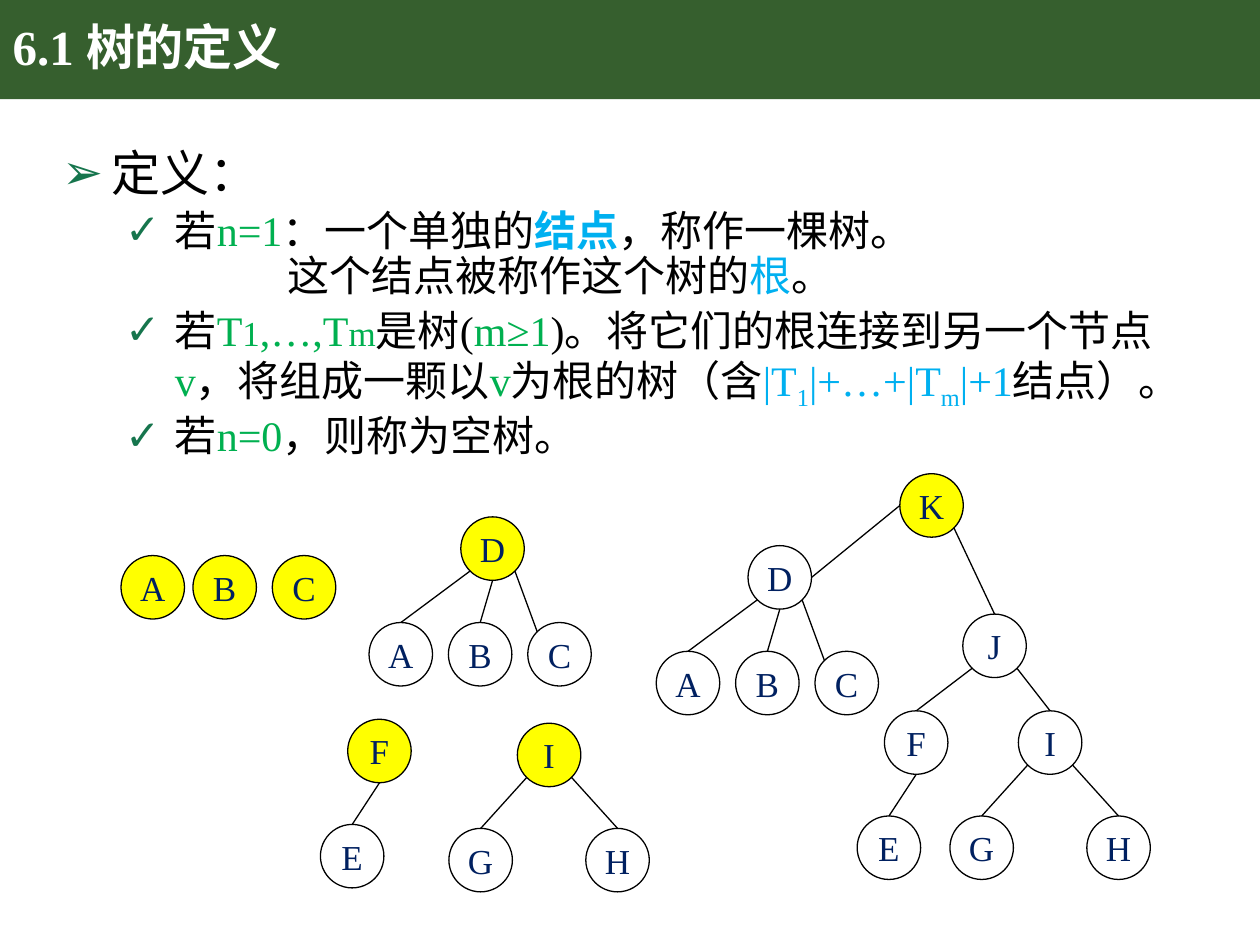
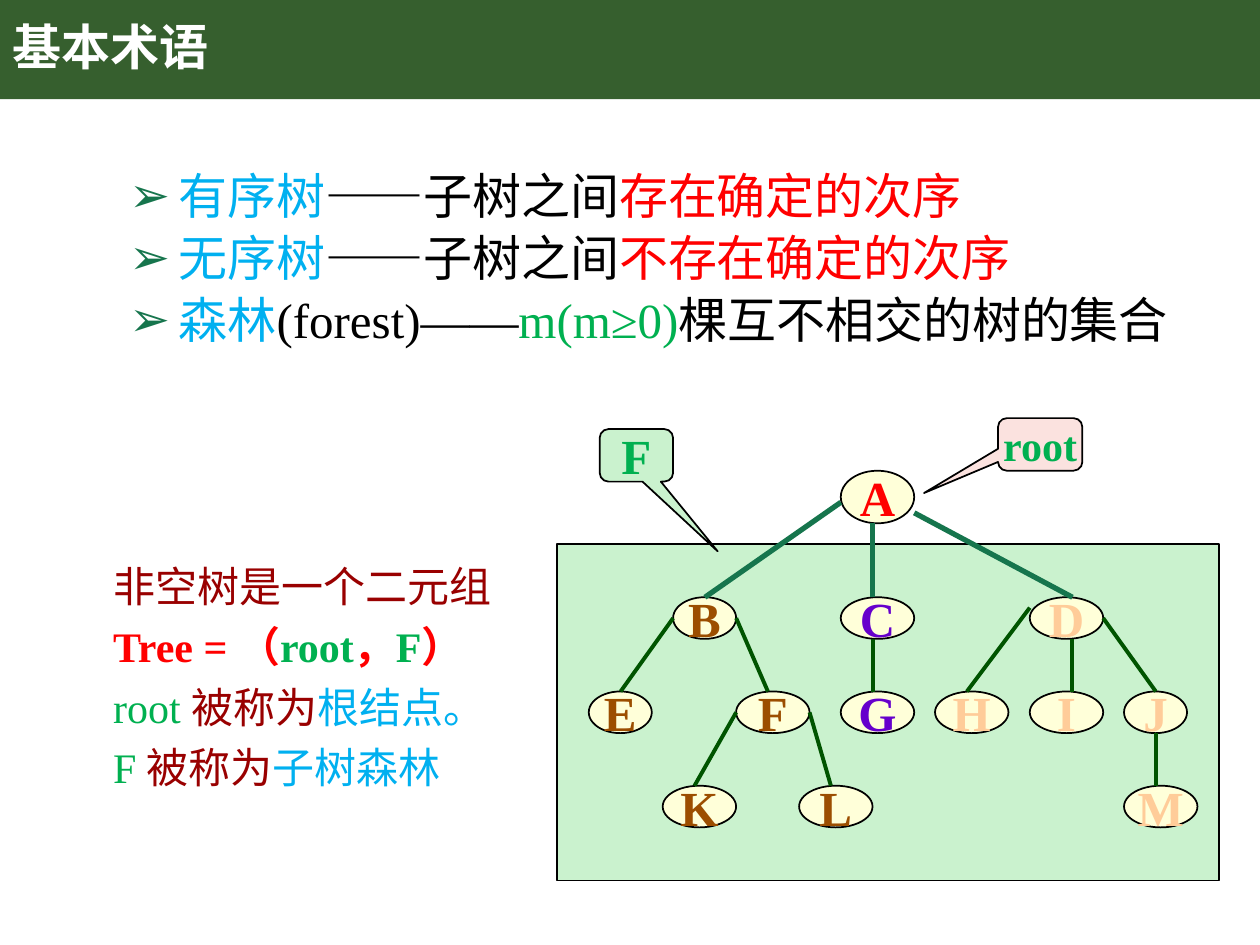
from dataclasses import dataclass

from lxml import etree
from pptx import Presentation
from pptx.dml.color import RGBColor
from pptx.enum.lang import MSO_LANGUAGE_ID
from pptx.enum.shapes import MSO_CONNECTOR, MSO_SHAPE
from pptx.enum.text import MSO_ANCHOR, MSO_AUTO_SIZE, PP_ALIGN
from pptx.oxml.ns import qn
from pptx.util import Cm, Pt

OVAL = MSO_SHAPE.OVAL
RECTANGLE = MSO_SHAPE.RECTANGLE
CALLOUT = MSO_SHAPE.ROUNDED_RECTANGULAR_CALLOUT
STRAIGHT = MSO_CONNECTOR.STRAIGHT
MIDDLE = MSO_ANCHOR.MIDDLE
LEFT, CENTER = PP_ALIGN.LEFT, PP_ALIGN.CENTER
NO_AUTOFIT = MSO_AUTO_SIZE.NONE
CHINESE = MSO_LANGUAGE_ID.SIMPLIFIED_CHINESE


@dataclass(frozen=True)
class Theme:
    font: str = "Times New Roman"
    band: str = "365F2E"
    white: str = "FFFFFF"
    black: str = "000000"
    bullet: str = "16754D"
    green: str = "00B050"
    blue: str = "00B0F0"
    red: str = "FF0000"
    dark_red: str = "990000"
    navy: str = "002060"
    yellow: str = "FFFF00"
    cream: str = "FFFFD9"
    mint: str = "CAF2CE"
    pink: str = "FBE2DF"
    brown: str = "9C4E00"
    violet: str = "6600CC"
    peach: str = "FFCC99"
    branch: str = "005400"
    large: int = 28
    medium: int = 24
    small: int = 20


THEME = Theme()
BAND_HEIGHT = 2.0
NODE_SIZE = 1.28
SITES = {"top": (0.5, 0), "bottom": (0.5, 1), "left": (0, 0.5), "right": (1, 0.5),
         "upper left": (0.15, 0.15), "lower left": (0.15, 0.85), "lower right": (0.85, 0.85)}

# Subtrees: node -> (x, y) in cm, and edges (parent, site, child, site).
D_TREE = ({"D": (1.85, 0), "A": (0, 2.13), "B": (1.6, 2.13), "C": (3.2, 2.13)},
          [("D", "lower left", "A", "top"), ("D", "bottom", "B", "top"),
           ("D", "lower right", "C", "upper left")])
F_TREE = ({"F": (0.55, 0), "E": (0, 2.12)}, [("F", "bottom", "E", "top")])
I_TREE = ({"I": (1.38, 0), "G": (0, 2.12), "H": (2.76, 2.12)},
          [("I", "lower left", "G", "top"), ("I", "lower right", "H", "top")])


def color(value):
    return RGBColor.from_string(value)


def add_runs(paragraph, runs, size, bold=False):
    """Append runs given as (text, colour) or (text, colour, overrides)."""
    for text, run_color, *extra in runs:
        options = extra[0] if extra else {}
        run = paragraph.add_run()
        run.text = text
        font = run.font
        font.name = THEME.font
        font.size = Pt(options.get("size", size))
        font.bold = options.get("bold", bold)
        font.color.rgb = color(run_color)
        font.language_id = CHINESE
        if options.get("subscript"):
            run._r.get_or_add_rPr().set("baseline", "-25000")


def set_bullet(paragraph, character, margin, indent):
    properties = paragraph._p.get_or_add_pPr()
    properties.set("marL", str(Cm(margin)))
    properties.set("indent", str(Cm(indent)))
    if not character:
        etree.SubElement(properties, qn("a:buNone"))
        return
    bullet_color = etree.SubElement(properties, qn("a:buClr"))
    etree.SubElement(bullet_color, qn("a:srgbClr"), val=THEME.bullet)
    etree.SubElement(properties, qn("a:buChar"), char=character)


def place(shape, left, top, width, height):
    shape.left, shape.top, shape.width, shape.height = map(Cm, (left, top, width, height))


def add_box(slide, kind, box, fill=None, line_width=None, label=None):
    """Add a preset shape; label is (text, colour, size, bold)."""
    shape = slide.shapes.add_shape(kind, *map(Cm, box))
    shape.shadow.inherit = False
    if fill:
        shape.fill.solid()
        shape.fill.fore_color.rgb = color(fill)
    else:
        shape.fill.background()
    if line_width:
        shape.line.color.rgb = color(THEME.black)
        shape.line.width = Pt(line_width)
    else:
        shape.line.fill.background()
    if label:
        text, text_color, size, bold = label
        frame = shape.text_frame
        frame.word_wrap = False
        frame.vertical_anchor = MIDDLE
        frame.paragraphs[0].alignment = CENTER
        add_runs(frame.paragraphs[0], [(text, text_color)], size, bold)
    return shape


def add_line(slide, start, end, line_color, width):
    line = slide.shapes.add_connector(STRAIGHT, *map(Cm, (*start, *end)))
    line.line.color.rgb = color(line_color)
    line.line.width = Pt(width)
    etree.SubElement(line._element.spPr, qn("a:effectLst"))


def add_band_to_layout(slide, width):
    """Draw the title band behind everything on the slide's layout."""
    band = add_box(slide, RECTANGLE, (0, 0, width, BAND_HEIGHT), THEME.band)
    slide.slide_layout.shapes.element.insert(2, band.element)


def fill_title(slide, text):
    title = slide.shapes.title
    place(title, 0, 0, 21.9, BAND_HEIGHT)
    frame = title.text_frame
    frame.auto_size = NO_AUTOFIT
    frame.vertical_anchor = MIDDLE
    paragraph = frame.paragraphs[0]
    paragraph.alignment = LEFT
    paragraph.line_spacing = 0.9
    add_runs(paragraph, [(text, THEME.white)], THEME.large, True)


def fill_body(slide, box, items):
    """Fill the list; each item is (level, bullet, left margin, size, runs)."""
    body = slide.placeholders[1]
    place(body, *box)
    frame = body.text_frame
    frame.auto_size = NO_AUTOFIT
    for index, (level, character, margin, size, runs) in enumerate(items):
        paragraph = frame.add_paragraph() if index else frame.paragraphs[0]
        paragraph.level = level
        set_bullet(paragraph, character, margin, -1 if character else 0)
        paragraph.line_spacing = 0.9
        paragraph.space_before = Pt(5 if index and character else 0)
        add_runs(paragraph, runs, size)


def add_node(slide, name, left, top, fill=None):
    add_box(slide, OVAL, (left, top, NODE_SIZE, NODE_SIZE), fill, 0.75,
            (name, THEME.navy, THEME.small, False))
    return left, top


def add_edges(slide, positions, edges):
    def site_point(name, site):
        return [start + part * NODE_SIZE for start, part in zip(positions[name], SITES[site])]

    for parent, parent_site, child, child_site in edges:
        add_line(slide, site_point(parent, parent_site), site_point(child, child_site),
                 THEME.black, 0.75)


def add_subtree(slide, tree, left, top, root_fill=None):
    """Draw a subtree whose first node is its root; return node positions."""
    nodes, edges = tree
    root = next(iter(nodes))
    positions = {name: add_node(slide, name, left + x, top + y, root_fill if name == root else None)
                 for name, (x, y) in nodes.items()}
    add_edges(slide, positions, edges)
    return positions


def add_joined_tree(slide, left, top):
    positions = {"K": add_node(slide, "K", left + 4.91, top, THEME.yellow),
                 "J": add_node(slide, "J", left + 6.18, top + 2.83)}
    for tree, x, y in ((D_TREE, 0, 1.45), (F_TREE, 4.05, 4.78), (I_TREE, 5.92, 4.78)):
        positions.update(add_subtree(slide, tree, left + x, top + y))
    add_edges(slide, positions, [
        ("K", "left", "D", "right"), ("K", "lower right", "J", "top"),
        ("J", "lower left", "F", "top"), ("J", "lower right", "I", "top")])


def build_definition_slide(slide):
    black, green, blue = THEME.black, THEME.green, THEME.blue
    small, subscript = {"size": THEME.small}, {"subscript": True}
    fill_title(slide, "6.1 树的定义")
    fill_body(slide, (0.1, 2.87, 23.62, 7.06), [
        (0, "➢", 1.9, THEME.large, [("定义：", black)]),
        (1, "✓", 3.17, THEME.medium, [
            ("若", black), ("n=1", green), ("：一个单独的", black),
            ("结点", blue, {"bold": True}), ("，称作一棵树。", black)]),
        (1, None, 5.45, THEME.medium, [
            ("这个结点被称作这个树的", black), ("根", blue), ("。", black)]),
        (1, "✓", 3.17, THEME.medium, [
            ("若", black), ("T", green), ("1", green, small), (",…,T", green),
            ("m", green, small), ("是树(", black), ("m≥1", green),
            (")。将它们的根连接到另一个节点", black), ("v", green),
            ("，将组成一颗以", black), ("v", green), ("为根的树（含", black),
            ("|T", blue), ("1", blue, subscript), ("|+…+|T", blue),
            ("m", blue, subscript), ("|+1", blue), ("结点）。", black)]),
        (1, "✓", 3.17, THEME.medium, [
            ("若", black), ("n=0", green), ("，则称为空树。", black)]),
    ])
    for name, x in (("A", 2.44), ("B", 3.89), ("C", 5.49)):
        add_node(slide, name, x, 11.2, THEME.yellow)
    for tree, x, y in ((D_TREE, 7.44, 10.42), (F_TREE, 6.46, 14.5), (I_TREE, 9.05, 14.58)):
        add_subtree(slide, tree, x, y, THEME.yellow)
    add_joined_tree(slide, 13.23, 9.55)


def add_tuple_note(slide, box):
    red, green, blue, dark_red = THEME.red, THEME.green, THEME.blue, THEME.dark_red
    bold = {"bold": True}
    frame = slide.shapes.add_textbox(*map(Cm, box)).text_frame
    frame.word_wrap = True
    lines = [
        [("非空树是一个二元组", dark_red)],
        [("Tree = （", red, bold), ("root", green, bold), ("，", red, bold),
         ("F", green, bold), ("）", red, bold)],
        [("root ", green), ("被称为", dark_red), ("根结点。", blue)],
        [("F ", green), ("被称为", dark_red), ("子树森林", blue)],
    ]
    for index, runs in enumerate(lines):
        paragraph = frame.add_paragraph() if index else frame.paragraphs[0]
        paragraph.line_spacing = 1.2
        add_runs(paragraph, runs, THEME.medium)


def add_callout(slide, box, tip, fill, text, size):
    shape = add_box(slide, CALLOUT, box, fill, 1, (text, THEME.green, size, True))
    for index, value in enumerate((*tip, 0.167)):
        shape.adjustments[index] = value


def add_forest(slide, left, top):
    """Draw the forest panel with the root above it."""
    wide, narrow, height, row_gap = 1.48, 1.27, 0.84, 1.9
    first_row = 1.07
    add_box(slide, RECTANGLE, (left, top, 13.34, 6.78), THEME.mint, 1)
    nodes = {}
    for name, x, row, width, text_color in (
            ("B", 2.34, 0, narrow, THEME.brown), ("C", 5.72, 0, wide, THEME.violet),
            ("D", 9.53, 0, wide, THEME.peach), ("E", 0.64, 1, narrow, THEME.brown),
            ("F", 3.61, 1, wide, THEME.brown), ("G", 5.72, 1, wide, THEME.violet),
            ("H", 7.62, 1, wide, THEME.peach), ("I", 9.53, 1, wide, THEME.peach),
            ("J", 11.43, 1, narrow, THEME.peach), ("K", 2.13, 2, wide, THEME.brown),
            ("L", 4.88, 2, wide, THEME.brown), ("M", 11.43, 2, wide, THEME.peach)):
        box = (left + x, top + first_row + row * row_gap, width, height)
        add_box(slide, OVAL, box, THEME.cream, 1, (name, text_color, THEME.large, True))
        nodes[name] = box
    root = (left + 5.72, top - 1.48, wide, 1.06)
    add_box(slide, OVAL, root, THEME.cream, 1, ("A", THEME.red, THEME.large, True))
    nodes["A"] = root

    def stem(name):
        return nodes[name][0] + (0.86 if name in "DI" else 0.64)

    def join(parent, child, side, part, line_color, width):
        x, y, parent_width, parent_height = nodes[parent]
        start_x = {"left": x, "right": x + parent_width, "bottom": stem(parent)}[side]
        add_line(slide, (start_x, y + part * parent_height), (stem(child), nodes[child][1]),
                 line_color, width)

    for parent, child, side, part in (
            ("B", "E", "left", 0.5), ("B", "F", "right", 0.5), ("F", "K", "left", 0.5),
            ("F", "L", "right", 0.5), ("C", "G", "bottom", 1), ("D", "H", "left", 0.25),
            ("D", "I", "bottom", 1), ("D", "J", "right", 0.5), ("J", "M", "bottom", 1)):
        join(parent, child, side, part, THEME.branch, 2.25)
    for child, side, part in (("B", "left", 0.6), ("C", "bottom", 1), ("D", "right", 0.8)):
        join("A", child, side, part, THEME.bullet, 3)
    add_callout(slide, (left + 8.89, top - 2.54, 1.7, 1.06), (-1.378, 0.925),
                THEME.pink, "root", THEME.medium)
    add_callout(slide, (left + 0.86, top - 2.32, 1.48, 1.06), (1.107, 1.825),
                THEME.mint, "F", THEME.large)


def build_terms_slide(slide):
    black, green, blue, red = THEME.black, THEME.green, THEME.blue, THEME.red
    fill_title(slide, "基本术语")
    terms = [
        [("有序树", blue), ("——子树之间", black), ("存在确定的次序", red)],
        [("无序树", blue), ("——子树之间", black), ("不存在确定的次序", red)],
        [("森林", blue), ("(forest)——", black), ("m(m≥0)", green),
         ("棵互不相交的树的集合", black)],
    ]
    fill_body(slide, (0.18, 3.35, 24.69, 4.57),
              [(1, "➢", 3.17, THEME.large, runs) for runs in terms])
    add_tuple_note(slide, (2.03, 10.97, 8.59, 5.08))
    add_forest(slide, 11.23, 10.97)


def main():
    presentation = Presentation()
    presentation.slide_width, presentation.slide_height = Cm(25.4), Cm(19.05)
    layout = presentation.slide_layouts[1]
    definition, terms = [presentation.slides.add_slide(layout) for _ in range(2)]
    add_band_to_layout(definition, 25.4)
    build_definition_slide(definition)
    build_terms_slide(terms)
    presentation.save("out.pptx")


if __name__ == "__main__":
    main()
